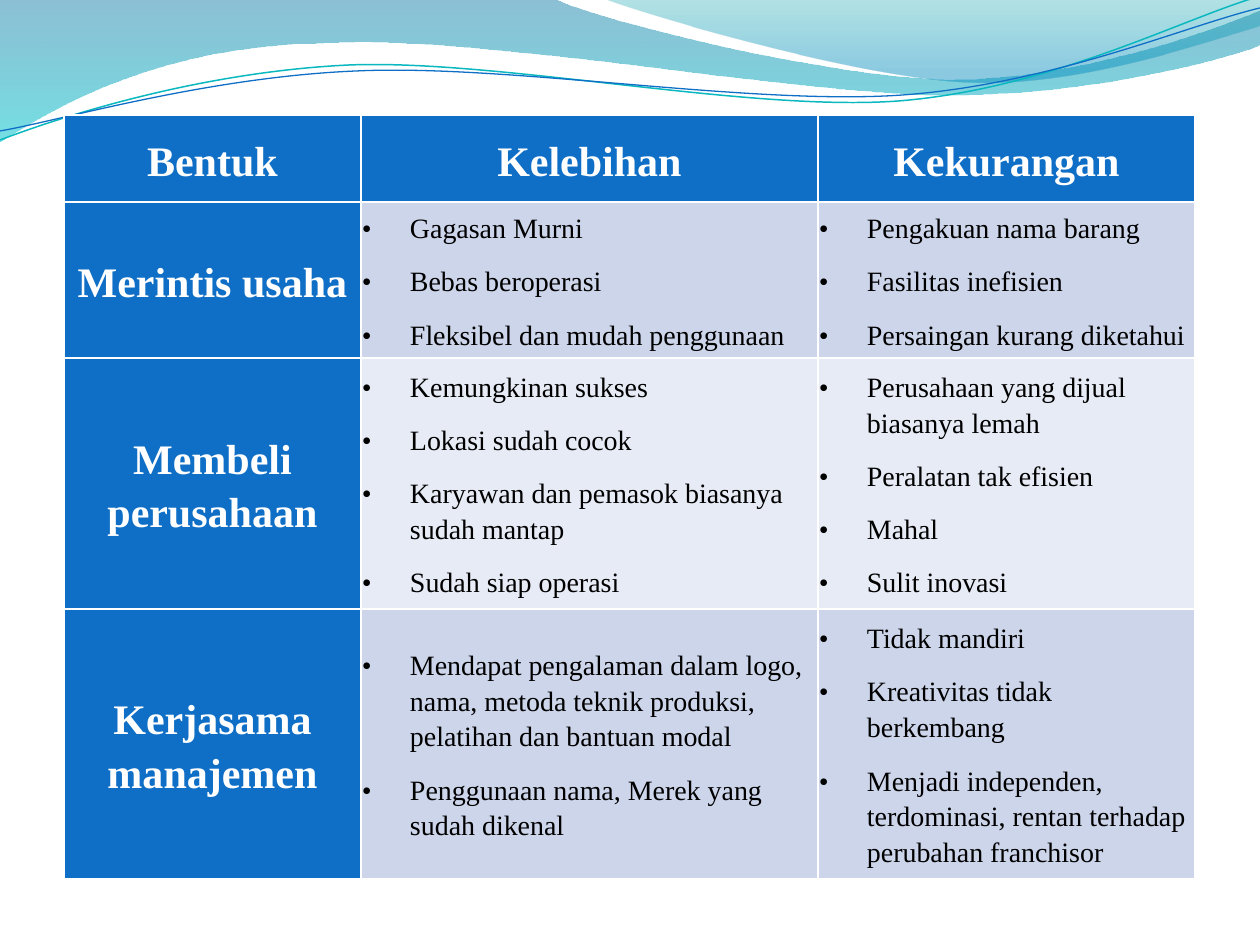
from lxml.etree import SubElement
from pptx import Presentation
from pptx.dml.color import RGBColor
from pptx.enum.text import MSO_ANCHOR, PP_ALIGN
from pptx.oxml.ns import qn
from pptx.util import Pt

PX = 914400 / 126
WIDTH, HEIGHT = 1260, 945
FONT = "Times New Roman"
WHITE = RGBColor(0xFF, 0xFF, 0xFF)
BLACK = RGBColor(0x00, 0x00, 0x00)
BLUE = RGBColor(0x0F, 0x6F, 0xC6)
TEAL = RGBColor(0x0A, 0xB8, 0xBF)
DEEP_BLUE = RGBColor(0x00, 0x74, 0xA1)
CYAN = RGBColor(0x00, 0xC6, 0xCF)
SEA_GREEN = RGBColor(0x00, 0xA1, 0xA9)
SKY = RGBColor(0x00, 0x8B, 0xBF)
DARK_BAND = RGBColor(0xCC, 0xD5, 0xEA)
LIGHT_BAND = RGBColor(0xE7, 0xEB, 0xF5)

# A segment of two numbers is a line; one of six is a Bézier curve.
BACK_WAVE = [(-1, 0), (554, -1), (600, 21, 837, 79, 955, 79),
             (1074, 79, 1207, 33, 1260, 11), (1261, 45),
             (1239, 55, 1096, 96, 940, 95), (784, 93, 481, 35, 324, 43),
             (163, 45, 58, 105, -1, 142)]
FRONT_WAVE = [(604, -1), (641, 14, 859, 78, 969, 82),
              (1079, 87, 1211, 40, 1260, 26), (1260, 0)]
TEAL_LINE = [(0, 140), (60, 117, 199, 72, 349, 65),
             (498, 59, 747, 112, 898, 101), (1050, 89, 1182, 19, 1257, -3)]
BLUE_LINE = [(0, 131), (59, 121, 207, 77, 357, 71),
             (508, 64, 752, 106, 903, 95), (1053, 84, 1185, 26, 1260, 8)]

COLUMNS = [297, 457, 377]
ROWS = [87, 156, 251, 270]
HEADINGS = ["Bentuk", "Kelebihan", "Kekurangan"]
BUSINESS_FORMS = [
    ("Merintis usaha",
     ["Gagasan Murni", "Bebas beroperasi", "Fleksibel dan mudah penggunaan"],
     ["Pengakuan nama barang", "Fasilitas inefisien",
      "Persaingan kurang diketahui"]),
    ("Membeli perusahaan",
     ["Kemungkinan sukses", "Lokasi sudah cocok",
      "Karyawan dan pemasok biasanya sudah mantap", "Sudah siap operasi"],
     ["Perusahaan yang dijual biasanya lemah", "Peralatan tak efisien",
      "Mahal", "Sulit inovasi"]),
    ("Kerjasama manajemen",
     ["Mendapat pengalaman dalam logo, nama, metoda teknik produksi, "
      "pelatihan dan bantuan modal",
      "Penggunaan nama, Merek yang sudah dikenal"],
     ["Tidak mandiri", "Kreativitas tidak berkembang",
      "Menjadi independen, terdominasi, rentan terhadap perubahan franchisor"]),
]


def emu(pixels):
    return round(pixels * PX)


def bend(shape, outline):
    """Join each three line steps that stand for a curve into one Bézier."""
    steps = iter(list(shape.element.spPr.iter(qn("a:lnTo"))))
    for segment in outline[1:]:
        first = next(steps)
        if len(segment) == 6:
            first.tag = qn("a:cubicBezTo")
            for _ in range(2):
                step = next(steps)
                step.getparent().remove(step)
                first.append(step[0])


def add_outline(slide, left, top, outline, close):
    points = [(emu(left + segment[i]), emu(top + segment[i + 1]))
              for segment in outline for i in range(0, len(segment), 2)]
    builder = slide.shapes.build_freeform(*points[0])
    builder.add_line_segments(points[1:], close=close)
    shape = builder.convert_to_shape()
    bend(shape, outline)
    shape.shadow.inherit = False
    return shape


def add_wave(slide, left, top, outline, stops):
    """Add a filled wave; each stop is position, colour and opacity percent."""
    shape = add_outline(slide, left, top, outline, True)
    shape.line.fill.background()
    shape.fill.gradient()
    shape.fill.gradient_angle = 270
    for stop, (position, colour, _) in zip(shape.fill.gradient_stops, stops):
        stop.position = position
        stop.color.rgb = colour
    colours = shape.element.spPr.iter(qn("a:srgbClr"))
    for element, (_, _, opacity) in zip(list(colours), stops):
        SubElement(element, qn("a:alpha"), val=str(opacity * 1000))


def add_wave_line(slide, left, top, outline, colour, width):
    shape = add_outline(slide, left, top, outline, False)
    shape.fill.background()
    shape.line.color.rgb = colour
    shape.line.width = Pt(width)


def add_wave_header(slide, left, top):
    add_wave(slide, left, top, BACK_WAVE, [(0, DEEP_BLUE, 45), (1, CYAN, 55)])
    add_wave(slide, left, top, FRONT_WAVE, [(0, SEA_GREEN, 30), (0.8, SKY, 45)])
    add_wave_line(slide, left, top, TEAL_LINE, TEAL, 0.85)
    add_wave_line(slide, left, top, BLUE_LINE, BLUE, 0.75)


def add_bullet(paragraph):
    properties = paragraph._p.get_or_add_pPr()
    properties.set("marL", str(emu(48)))
    properties.set("indent", str(emu(-48)))
    SubElement(properties, qn("a:buFont"), typeface=FONT)
    SubElement(properties, qn("a:buChar"), char="•")
    tabs = SubElement(properties, qn("a:tabLst"))
    SubElement(tabs, qn("a:tab"), pos=str(emu(63)), algn="l")
    paragraph.space_after = Pt(10)


def fill_cell(cell, lines, colour, bulleted):
    cell.margin_left = cell.margin_right = emu(1)
    cell.margin_top = cell.margin_bottom = emu(1)
    cell.vertical_anchor = MSO_ANCHOR.MIDDLE
    cell.fill.solid()
    cell.fill.fore_color.rgb = colour
    cell.text_frame.text = "\n".join(lines)
    for paragraph in cell.text_frame.paragraphs:
        if bulleted:
            add_bullet(paragraph)
        else:
            paragraph.alignment = PP_ALIGN.CENTER
        paragraph.line_spacing = 1.15
        for run in paragraph.runs:
            run.font.name = FONT
            run.font.size = Pt(16 if bulleted else 24)
            run.font.bold = not bulleted
            run.font.color.rgb = BLACK if bulleted else WHITE


def add_comparison_table(slide, left, top):
    """Add the table; its default style supplies the white borders."""
    frame = slide.shapes.add_table(len(ROWS), len(COLUMNS), emu(left), emu(top),
                                   emu(sum(COLUMNS)), emu(sum(ROWS)))
    table = frame.table
    for column, width in zip(table.columns, COLUMNS):
        column.width = emu(width)
    for row, height in zip(table.rows, ROWS):
        row.height = emu(height)
    contents = [[[heading] for heading in HEADINGS]]
    contents += [[[name], pros, cons] for name, pros, cons in BUSINESS_FORMS]
    for r, row in enumerate(contents):
        band = DARK_BAND if r % 2 else LIGHT_BAND
        for c, lines in enumerate(row):
            bulleted = r > 0 and c > 0
            fill_cell(table.cell(r, c), lines, band if bulleted else BLUE, bulleted)


def main():
    presentation = Presentation()
    presentation.slide_width = emu(WIDTH)
    presentation.slide_height = emu(HEIGHT)
    slide = presentation.slides.add_slide(presentation.slide_layouts[6])
    add_wave_header(slide, 0, 0)
    add_comparison_table(slide, 64, 115)
    presentation.save("out.pptx")


if __name__ == "__main__":
    main()
